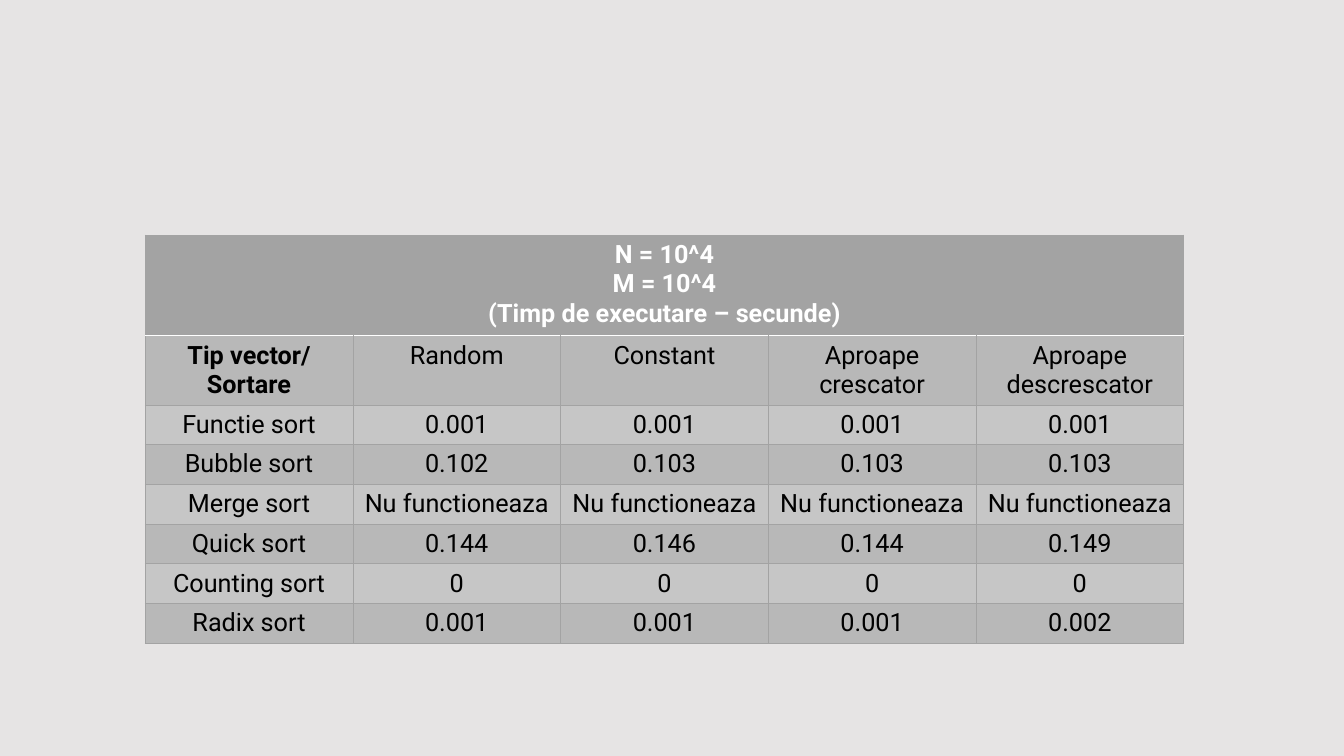
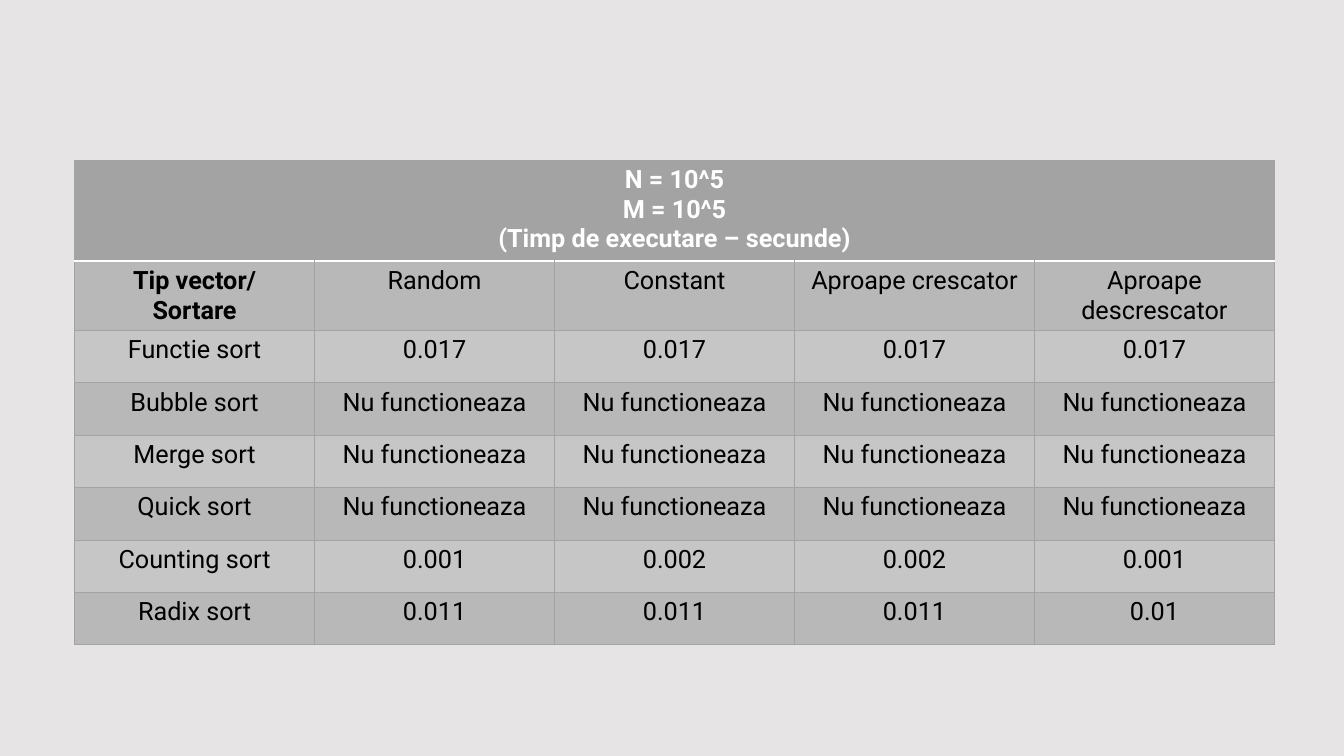
from dataclasses import dataclass

from lxml.etree import SubElement
from pptx import Presentation
from pptx.dml.color import RGBColor
from pptx.enum.text import PP_ALIGN as Align
from pptx.oxml.ns import qn
from pptx.util import Inches, Pt

FONT = "Roboto"
BACKGROUND = "E6E4E4"
GRAY = "A3A3A3"
DARK_BAND = "B8B8B8"
LIGHT_BAND = "C6C6C6"
WHITE = "FFFFFF"
BLACK = "000000"
FAILED = "Nu functioneaza"
HEADINGS = ("Tip vector/\nSortare", "Random", "Constant", "Aproape crescator", "Aproape descrescator")
SORTS = ("Functie sort", "Bubble sort", "Merge sort", "Quick sort", "Counting sort", "Radix sort")


@dataclass(frozen=True)
class Timing:
    """Execution times for one input size, with the table's place in inches."""

    size: str
    left: float
    top: float
    column_width: float
    row_height: float
    results: tuple


TIMINGS = (
    Timing("10^4", 1.44, 2.33, 2.06, 0.39, (
        ("0.001",) * 4,
        ("0.102", "0.103", "0.103", "0.103"),
        (FAILED,) * 4,
        ("0.144", "0.146", "0.144", "0.149"),
        ("0",) * 4,
        ("0.001", "0.001", "0.001", "0.002"),
    )),
    Timing("10^5", 0.74, 1.59, 2.38, 0.52, (
        ("0.017",) * 4,
        (FAILED,) * 4,
        (FAILED,) * 4,
        (FAILED,) * 4,
        ("0.001", "0.002", "0.002", "0.001"),
        ("0.011", "0.011", "0.011", "0.01"),
    )),
)


def set_fill(fill, color: str) -> None:
    """Make a fill solid in the given hex colour."""
    fill.solid()
    fill.fore_color.rgb = RGBColor.from_string(color)


def set_border(cell, side: str, color: str = GRAY, width: float = 0.5) -> None:
    """Draw one side (L, R, T or B) of a cell's border."""
    properties = cell._tc.get_or_add_tcPr()
    line = SubElement(properties, qn(f"a:ln{side}"), w=str(Pt(width)))
    SubElement(SubElement(line, qn("a:solidFill")), qn("a:srgbClr"), val=color)


def write_text(cell, text: str, *, color: str = BLACK, bold: bool = False) -> None:
    """Write centred text into a cell, one paragraph for each line."""
    cell.text = text
    for paragraph in cell.text_frame.paragraphs:
        paragraph.alignment = Align.CENTER
        font = paragraph.font
        font.name, font.size, font.bold = FONT, Pt(18), bold
        font.color.rgb = RGBColor.from_string(color)


def style_cell(cell, row: int) -> None:
    """Give a cell the borders and band colour of its row."""
    for side in "LRTB":
        if (row, side) in ((0, "B"), (1, "T")):
            set_border(cell, side, WHITE, 1)
        else:
            set_border(cell, side)
    band = DARK_BAND if row % 2 else LIGHT_BAND
    set_fill(cell.fill, band if row else GRAY)


def add_timing_slide(presentation, timing: Timing) -> None:
    """Add a slide with the table of one timing."""
    slide = presentation.slides.add_slide(presentation.slide_layouts[6])
    set_fill(slide.background.fill, BACKGROUND)
    body = [HEADINGS, *((sort, *times) for sort, times in zip(SORTS, timing.results))]
    heights = [1] + [timing.row_height] * len(body)
    table = slide.shapes.add_table(
        len(heights), len(HEADINGS), Inches(timing.left), Inches(timing.top),
        Inches(timing.column_width * len(HEADINGS)), Inches(sum(heights)),
    ).table
    table.first_row = table.horz_banding = False
    for column in table.columns:
        column.width = Inches(timing.column_width)
    for index, (row, height) in enumerate(zip(table.rows, heights)):
        row.height = Inches(height)
        for cell in row.cells:
            style_cell(cell, index)
    title = table.cell(0, 0)
    title.merge(table.cell(0, len(HEADINGS) - 1))
    write_text(
        title, f"N = {timing.size}\nM = {timing.size}\n(Timp de executare – secunde)",
        color=WHITE, bold=True,
    )
    for row_index, texts in enumerate(body, start=1):
        for column_index, text in enumerate(texts):
            is_corner = (row_index, column_index) == (1, 0)
            write_text(table.cell(row_index, column_index), text, bold=is_corner)


def main() -> None:
    """Build and save the presentation."""
    presentation = Presentation()
    presentation.slide_width, presentation.slide_height = Inches(13.33), Inches(7.5)
    for timing in TIMINGS:
        add_timing_slide(presentation, timing)
    presentation.save("out.pptx")


if __name__ == "__main__":
    main()
